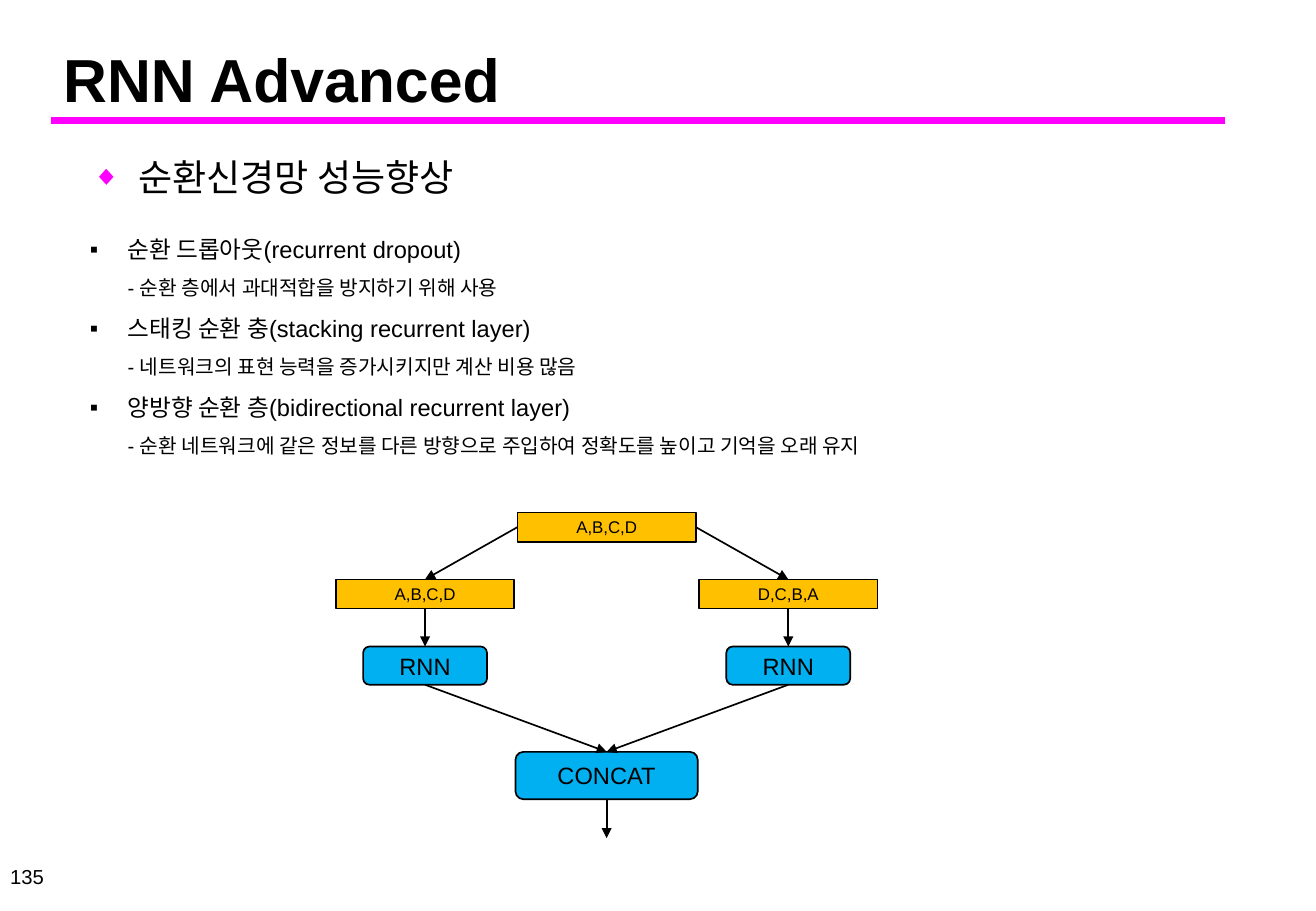
import copy

import lxml.etree
import pptx
import pptx.dml.color
import pptx.enum.dml
import pptx.enum.shapes
import pptx.enum.text
import pptx.oxml.ns
import pptx.util

ALIGN = pptx.enum.text.PP_ALIGN
ANCHOR = pptx.enum.text.MSO_ANCHOR
SHAPE = pptx.enum.shapes.MSO_SHAPE
TOP, LEFT, BOTTOM, RIGHT = range(4)


def rgb(value):
    return pptx.dml.color.RGBColor.from_string(value)


def add_element(parent, tag, **attributes):
    element = lxml.etree.SubElement(parent, pptx.oxml.ns.qn(tag))
    for key, value in attributes.items():
        element.set(key, str(value))
    return element


def write(paragraph, text, size=14, bold=False, color="000000", font="Arial", align=ALIGN.LEFT):
    paragraph.alignment = align
    run = paragraph.add_run()
    run.text = text
    run.font.size = pptx.util.Pt(size)
    run.font.bold = bold
    run.font.name = font
    run.font.color.rgb = rgb(color)
    return run


class Deck:
    ink = "000000"
    accent = "FF00FF"
    sequence_fill = "FFC000"
    layer_fill = "00B0F0"

    def __init__(self):
        self.deck = pptx.Presentation()
        self.deck.slide_width = pptx.util.Inches(10.83)
        self.deck.slide_height = pptx.util.Inches(7.5)
        self.slide = self.deck.slides.add_slide(self.deck.slide_layouts[3])

    def x(self, percent):
        return round(self.deck.slide_width * percent / 100)

    def y(self, percent):
        return round(self.deck.slide_height * percent / 100)

    def area(self, left, top, width, height):
        return self.x(left), self.y(top), self.x(width), self.y(height)

    def placeholder(self, index, area, anchor=ANCHOR.TOP):
        holder = self.slide.placeholders[index]
        holder.left, holder.top, holder.width, holder.height = self.area(*area)
        frame = holder.text_frame
        frame.word_wrap = True
        frame.auto_size = pptx.enum.text.MSO_AUTO_SIZE.NONE
        frame.vertical_anchor = anchor
        return frame

    def title(self, text, area):
        frame = self.placeholder(0, area, ANCHOR.BOTTOM)
        write(frame.paragraphs[0], text, size=36, bold=True)

    def bullets(self, index, area, items, mark, indent, spacing, sizes, mark_color=None, mark_size=100):
        frame = self.placeholder(index, area)
        for number, lines in enumerate(items):
            paragraph = frame.add_paragraph() if number else frame.paragraphs[0]
            properties = paragraph._p.get_or_add_pPr()
            hanging = pptx.util.Inches(indent)
            properties.set("marL", str(hanging))
            properties.set("indent", str(-hanging))
            color = add_element(properties, "a:buClr")
            add_element(color, "a:srgbClr", val=mark_color or self.ink)
            add_element(properties, "a:buSzPct", val=mark_size * 1000)
            add_element(properties, "a:buFont", typeface="Arial")
            add_element(properties, "a:buChar", char=mark)
            paragraph.line_spacing = spacing
            paragraph.space_before = pptx.util.Pt(0)
            for row, (line, size) in enumerate(zip(lines, sizes)):
                if row:
                    paragraph.add_line_break()
                    paragraph._p[-1].append(copy.deepcopy(run._r.rPr))
                run = write(paragraph, line, size=size)

    def page_number(self, text, area):
        frame = self.slide.shapes.add_textbox(*self.area(*area)).text_frame
        frame.word_wrap = False
        frame.vertical_anchor = ANCHOR.MIDDLE
        write(frame.paragraphs[0], text, size=12, align=ALIGN.RIGHT)

    def box(self, text, center, middle, width, height, kind, fill, size):
        area = self.area(center - width / 2, middle - height / 2, width, height)
        box = self.slide.shapes.add_shape(kind, *area)
        box.shadow.inherit = False
        box.fill.solid()
        box.fill.fore_color.rgb = rgb(fill)
        box.line.color.rgb = rgb(self.ink)
        box.line.width = pptx.util.Pt(1)
        frame = box.text_frame
        frame.word_wrap = False
        frame.vertical_anchor = ANCHOR.MIDDLE
        write(frame.paragraphs[0], text, size=size, align=ALIGN.CENTER)
        return box

    def sequence(self, text, center, middle):
        return self.box(text, center, middle, 13.57, 3.2, SHAPE.RECTANGLE, self.sequence_fill, 10)

    def layer(self, text, center, middle, width, height):
        return self.box(text, center, middle, width, height, SHAPE.ROUNDED_RECTANGLE, self.layer_fill, 14)

    def line(self, start, end, color, width):
        line = self.slide.shapes.add_connector(
            pptx.enum.shapes.MSO_CONNECTOR.STRAIGHT,
            self.x(start[0]), self.y(start[1]), self.x(end[0]), self.y(end[1]))
        line.line.color.rgb = rgb(color)
        line.line.width = pptx.util.Pt(width)
        add_element(line._element.spPr, "a:effectLst")
        return line

    def arrow(self, source, side, target=None, end=(0, 0)):
        arrow = self.line(end, end, self.ink, 1)
        arrow.begin_connect(source, side)
        if target is not None:
            arrow.end_connect(target, TOP)
        add_element(arrow.line._get_or_add_ln(), "a:tailEnd", type="triangle")

    def save(self):
        self.deck.save("out.pptx")


def main():
    deck = Deck()
    deck.line((3.88, 13.2), (93.07, 13.2), deck.accent, 4)
    deck.title("RNN Advanced", (3.88, 3.73, 88.46, 9.47))
    deck.page_number("135", (-0.18, 95.2, 4.43, 2))
    deck.bullets(1, (6.09, 15.33, 86.8, 7.33), [["순환신경망 성능향상"]],
                 "◆", 0.38, 1.2, [22], deck.accent, 75)
    improvements = [
        ["순환 드롭아웃(recurrent dropout)",
         "- 순환 층에서 과대적합을 방지하기 위해 사용"],
        ["스태킹 순환 충(stacking recurrent layer)",
         "- 네트워크의 표현 능력을 증가시키지만 계산 비용 많음"],
        ["양방향 순환 층(bidirectional recurrent layer)",
         "- 순환 네트워크에 같은 정보를 다른 방향으로 주입하여 정확도를 높이고 기억을 오래 유지"],
    ]
    deck.bullets(2, (5.91, 23.6, 90.77, 27.73), improvements, "▪", 0.31, 1.5, [14, 12])

    center, offset = 46.1, 13.8
    source = deck.sequence("A,B,C,D", center, 57.87)
    concat = deck.layer("CONCAT", center, 85.13, 13.85, 5.2)
    for text, branch, side in [("A,B,C,D", center - offset, LEFT),
                               ("D,C,B,A", center + offset, RIGHT)]:
        ordered = deck.sequence(text, branch, 65.2)
        rnn = deck.layer("RNN", branch, 73.07, 9.42, 4.2)
        deck.arrow(source, side, ordered)
        deck.arrow(ordered, BOTTOM, rnn)
        deck.arrow(rnn, BOTTOM, concat)
    deck.arrow(concat, BOTTOM, end=(center, 92))
    deck.save()


if __name__ == "__main__":
    main()
